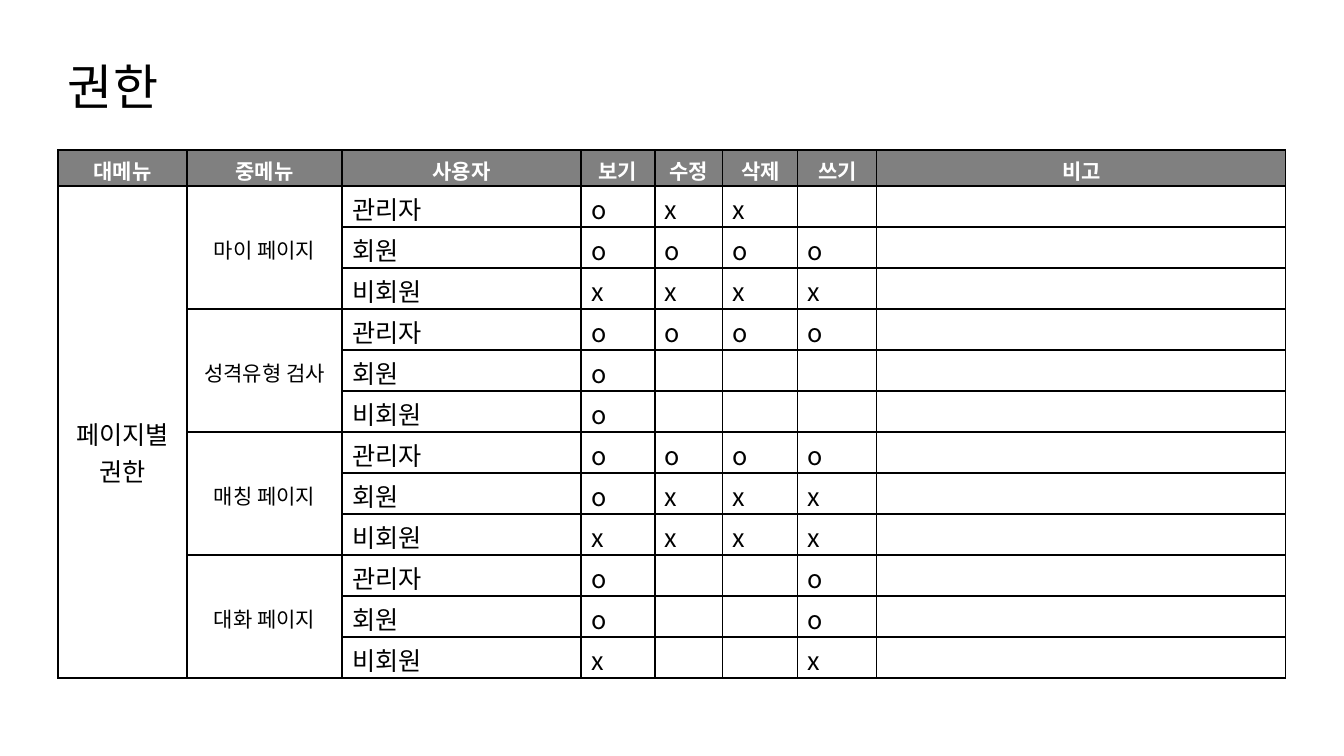
from dataclasses import dataclass

from lxml.etree import SubElement
from pptx import Presentation
from pptx.dml.color import RGBColor
from pptx.enum.text import MSO_ANCHOR, PP_ALIGN
from pptx.oxml.ns import qn
from pptx.table import Table, _Cell
from pptx.text.text import TextFrame
from pptx.util import Emu, Pt

FONT = "Noto Sans CJK KR"
BLACK = RGBColor(0x00, 0x00, 0x00)
WHITE = RGBColor(0xFF, 0xFF, 0xFF)
GRAY = RGBColor(0x80, 0x80, 0x80)

COLUMN_WIDTHS = [129, 155, 239, 74, 68, 75, 79, 409]
HEADER_HEIGHT = 36
ROW_HEIGHT = 41
CELL_TOP_MARGIN = 4
HEADINGS = ["대메뉴", "중메뉴", "사용자", "보기", "수정", "삭제", "쓰기", "비고"]
USERS = ["관리자", "회원", "비회원"]


@dataclass
class Menu:
    name: str
    permissions: list[str]


MENUS = [
    Menu("마이 페이지", ["oxx ", "oooo", "xxxx"]),
    Menu("성격유형 검사", ["oooo", "o   ", "o   "]),
    Menu("매칭 페이지", ["oooo", "oxxx", "xxxx"]),
    Menu("대화 페이지", ["o  o", "o  o", "x  x"]),
]


def px(length: int) -> Emu:
    return Emu(round(length * 914400 / 100.8))


def write_text(
    frame: TextFrame,
    text: str,
    *,
    size: int = 18,
    color: RGBColor = BLACK,
    bold: bool = False,
    align: PP_ALIGN = PP_ALIGN.LEFT,
) -> None:
    for index, line in enumerate(text.split("\n")):
        para = frame.paragraphs[0] if index == 0 else frame.add_paragraph()
        para.alignment = align
        span = para.add_run()
        span.text = line
        span.font.name = FONT
        span.font.size = Pt(size)
        span.font.bold = bold
        span.font.color.rgb = color
        SubElement(span.font._element, qn("a:ea"), typeface=FONT)


def style_cell(cell: _Cell, fill: RGBColor) -> None:
    properties = cell._tc.get_or_add_tcPr()
    for side in ("a:lnL", "a:lnR", "a:lnT", "a:lnB"):
        line = SubElement(properties, qn(side), w=str(Pt(1)))
        paint = SubElement(line, qn("a:solidFill"))
        SubElement(paint, qn("a:srgbClr"), val=str(BLACK))
    cell.fill.solid()
    cell.fill.fore_color.rgb = fill
    cell.vertical_anchor = MSO_ANCHOR.MIDDLE
    cell.margin_top = px(CELL_TOP_MARGIN)
    cell.margin_bottom = 0


def fill_menu(table: Table, menu: Menu, first_row: int) -> None:
    menu_cell = table.cell(first_row, 1)
    menu_cell.merge(table.cell(first_row + len(USERS) - 1, 1))
    write_text(menu_cell.text_frame, menu.name, size=15, align=PP_ALIGN.CENTER)
    for row, (user, marks) in enumerate(zip(USERS, menu.permissions), first_row):
        for column, text in enumerate([user, *marks], 2):
            if text.strip():
                write_text(table.cell(row, column).text_frame, text)


def main() -> None:
    deck = Presentation()
    deck.slide_width = px(1344)
    deck.slide_height = px(756)
    page = deck.slides.add_slide(deck.slide_layouts[6])

    box = page.shapes.add_textbox(px(58), px(51), px(119), px(70))
    title = box.text_frame
    title.word_wrap = False
    title.vertical_anchor = MSO_ANCHOR.MIDDLE
    title.margin_top = title.margin_bottom = 0
    write_text(title, "권한", size=35)

    row_count = 1 + len(MENUS) * len(USERS)
    table_height = HEADER_HEIGHT + (row_count - 1) * ROW_HEIGHT
    table = page.shapes.add_table(
        row_count, len(HEADINGS),
        px(58), px(150), px(sum(COLUMN_WIDTHS)), px(table_height),
    ).table
    for column, width in zip(table.columns, COLUMN_WIDTHS):
        column.width = px(width)
    for index, row in enumerate(table.rows):
        row.height = px(ROW_HEIGHT if index else HEADER_HEIGHT)
        for cell in row.cells:
            style_cell(cell, WHITE if index else GRAY)

    for column, heading in enumerate(HEADINGS):
        write_text(table.cell(0, column).text_frame, heading, size=15,
                   color=WHITE, bold=True, align=PP_ALIGN.CENTER)

    group_cell = table.cell(1, 0)
    group_cell.merge(table.cell(row_count - 1, 0))
    group_cell.margin_top = px(CELL_TOP_MARGIN + 36)
    write_text(group_cell.text_frame, "페이지별\n권한", align=PP_ALIGN.CENTER)

    for index, menu in enumerate(MENUS):
        fill_menu(table, menu, 1 + index * len(USERS))

    deck.save("out.pptx")


if __name__ == "__main__":
    main()
